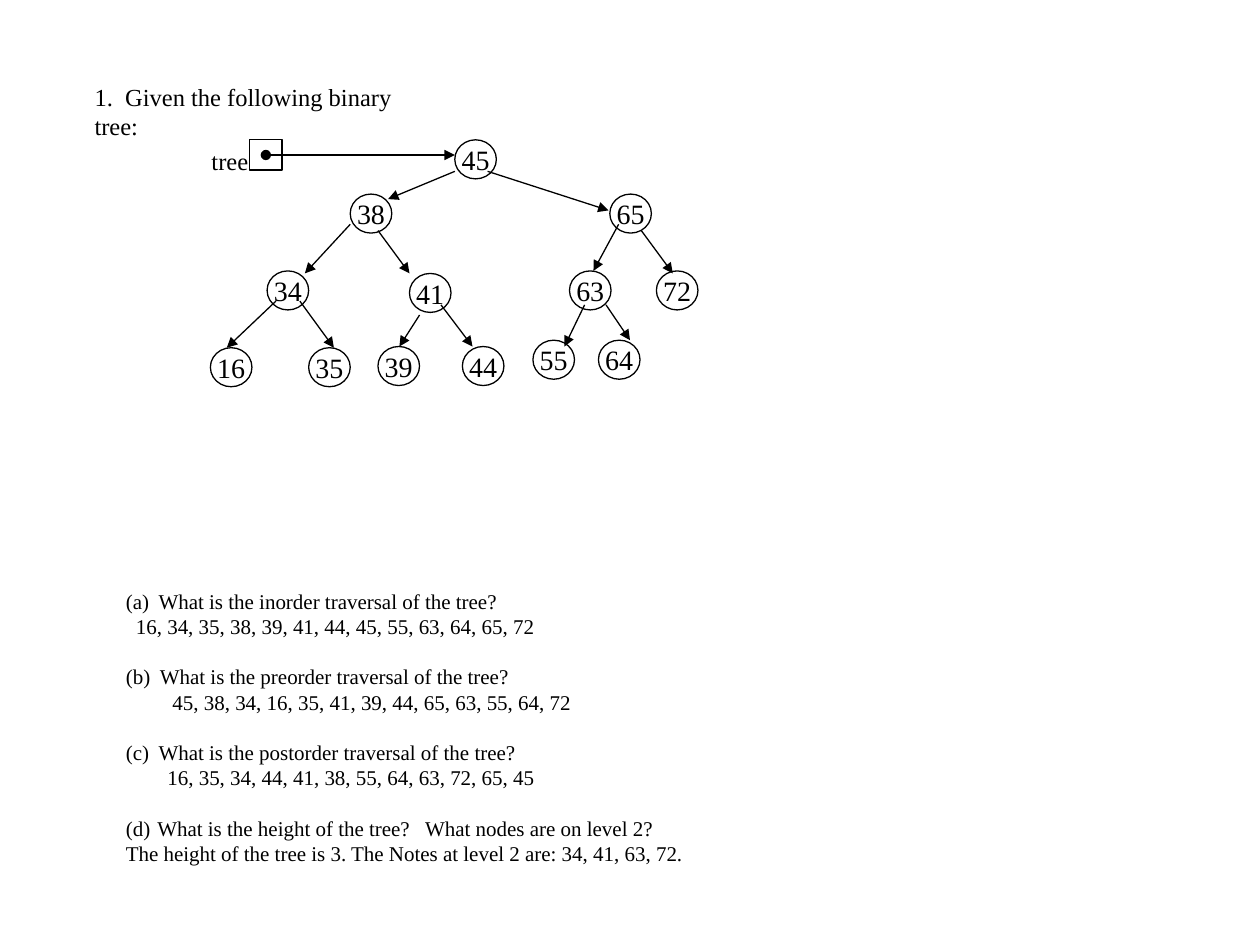
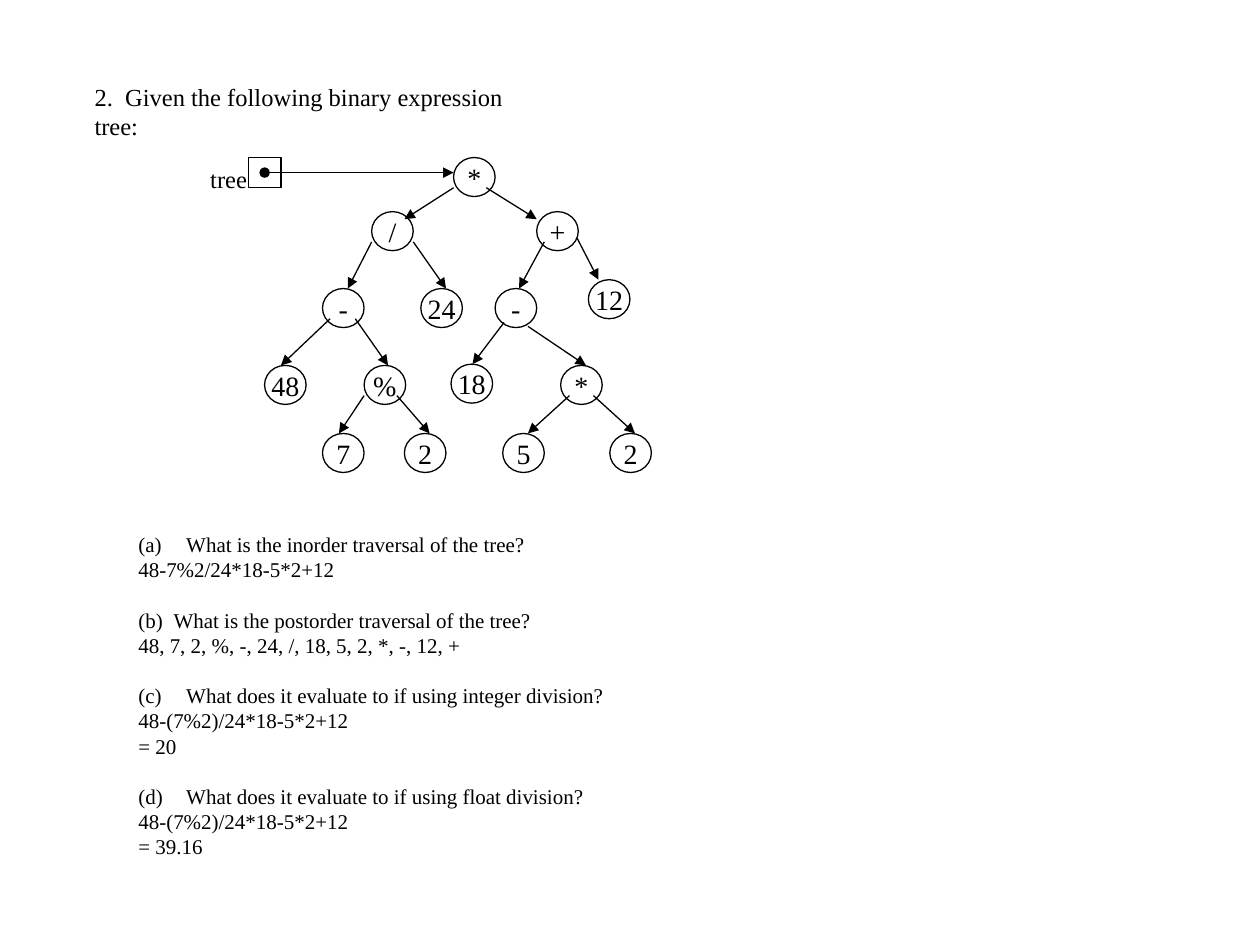
"""Build two exercise slides, each with a binary tree and questions about it."""
from dataclasses import dataclass

import pptx
import pptx.dml.color
import pptx.enum.shapes
import pptx.enum.text
import pptx.util
from lxml import etree
from pptx.oxml.ns import qn
from pptx.util import Inches

COLOURS = {"ink": "000000", "paper": "FFFFFF"}
FONT = "Times New Roman"
TITLE_SIZE, NODE_SIZE, BODY_SIZE = 14, 16, 12
LINE_WIDTH = 0.75
NODE_WIDTH, NODE_HEIGHT = 0.33, 0.31
TITLE_ONLY = 5


@dataclass(frozen=True)
class Arrow:
    x1: float
    y1: float
    x2: float
    y2: float


@dataclass(frozen=True)
class Node:
    label: str
    left: float
    top: float
    incoming: Arrow


@dataclass(frozen=True)
class Question:
    text: str
    answers: tuple[str, ...]
    hanging: float
    answer_indent: float = 0


@dataclass(frozen=True)
class Exercise:
    title: str
    title_width: float
    root: Node
    nodes: tuple[Node, ...]
    body_left: float
    body_top: float
    body_width: float
    body_height: float
    questions: tuple[Question, ...]


EXERCISES = (
    Exercise(
        "1.  Given the following binary tree:", 2.9,
        Node("45", 3.61, 1.11, Arrow(2.11, 1.23, 3.61, 1.23)),
        (
            Node("38", 2.78, 1.54, Arrow(3.61, 1.36, 3.08, 1.58)),
            Node("65", 4.84, 1.54, Arrow(3.87, 1.36, 4.83, 1.67)),
            Node("34", 2.12, 2.15, Arrow(2.78, 1.78, 2.42, 2.17)),
            Node("41", 3.25, 2.17, Arrow(3, 1.83, 3.25, 2.17)),
            Node("63", 4.52, 2.15, Arrow(4.91, 1.78, 4.71, 2.15)),
            Node("72", 5.21, 2.15, Arrow(5.09, 1.83, 5.34, 2.17)),
            Node("16", 1.67, 2.76, Arrow(2.19, 2.39, 1.8, 2.76)),
            Node("35", 2.45, 2.76, Arrow(2.38, 2.39, 2.65, 2.76)),
            Node("39", 3, 2.75, Arrow(3.33, 2.5, 3.17, 2.75)),
            Node("44", 3.67, 2.75, Arrow(3.5, 2.42, 3.75, 2.75)),
            Node("55", 4.23, 2.7, Arrow(4.64, 2.42, 4.48, 2.75)),
            Node("64", 4.75, 2.7, Arrow(4.81, 2.42, 5, 2.7)),
        ),
        0.9, 4.62, 7.31, 2.32,
        (
            Question("What is the inorder traversal of the tree?",
                     ("16, 34, 35, 38, 39, 41, 44, 45, 55, 63, 64, 65, 72",), 0.26, 0.08),
            Question("What is the preorder traversal of the tree?",
                     ("45, 38, 34, 16, 35, 41, 39, 44, 65, 63, 55, 64, 72",), 0.27, 0.37),
            Question("What is the postorder traversal of the tree?",
                     ("16, 35, 34, 44, 41, 38, 55, 64, 63, 72, 65, 45",), 0.26, 0.33),
            Question("What is the height of the tree?   What nodes are on level 2?",
                     ("The height of the tree is 3. The Notes at level 2 are: 34, 41, 63, 72.",),
                     0.25),
        ),
    ),
    Exercise(
        "2.  Given the following binary expression tree:", 3.78,
        Node("*", 3.6, 1.25, Arrow(2.1, 1.37, 3.6, 1.37)),
        (
            Node("/", 2.95, 1.68, Arrow(3.6, 1.49, 3.21, 1.74)),
            Node("+", 4.26, 1.68, Arrow(3.86, 1.49, 4.26, 1.74)),
            Node("-", 2.56, 2.29, Arrow(2.95, 1.92, 2.76, 2.29)),
            Node("24", 3.34, 2.29, Arrow(3.28, 1.92, 3.54, 2.29)),
            Node("-", 3.93, 2.29, Arrow(4.32, 1.92, 4.12, 2.29)),
            Node("12", 4.67, 2.22, Arrow(4.58, 1.89, 4.75, 2.22)),
            Node("48", 2.1, 2.9, Arrow(2.62, 2.53, 2.23, 2.9)),
            Node("%", 2.89, 2.9, Arrow(2.82, 2.53, 3.08, 2.9)),
            Node("18", 3.58, 2.89, Arrow(4, 2.56, 3.75, 2.89)),
            Node("*", 4.45, 2.9, Arrow(4.19, 2.59, 4.65, 2.9)),
            Node("7", 2.56, 3.44, Arrow(2.89, 3.14, 2.69, 3.44)),
            Node("2", 3.21, 3.44, Arrow(3.15, 3.14, 3.41, 3.44)),
            Node("5", 3.99, 3.44, Arrow(4.52, 3.14, 4.19, 3.44)),
            Node("2", 4.84, 3.44, Arrow(4.71, 3.14, 5.04, 3.44)),
        ),
        1, 4.17, 3.94, 2.93,
        (
            Question("What is the inorder traversal of the tree?",
                     ("48-7%2/24*18-5*2+12",), 0.38),
            Question("What is the postorder traversal of the tree?",
                     ("48, 7, 2, %, -, 24, /, 18, 5, 2, *, -, 12, +",), 0.28),
            Question("What does it evaluate to if using integer division?",
                     ("48-(7%2)/24*18-5*2+12", "= 20"), 0.38),
            Question("What does it evaluate to if using float division?",
                     ("48-(7%2)/24*18-5*2+12", "= 39.16"), 0.38),
        ),
    ),
)


def colour(name: str) -> pptx.dml.color.RGBColor:
    """Look up a shared colour."""
    return pptx.dml.color.RGBColor.from_string(COLOURS[name])


def set_font(para, size: float) -> None:
    """Give a paragraph the shared typeface and colour."""
    para.font.name = FONT
    para.font.size = pptx.util.Pt(size)
    para.font.color.rgb = colour("ink")


def set_line(shape) -> None:
    """Give a shape or connector the shared thin outline."""
    shape.line.color.rgb = colour("ink")
    shape.line.width = pptx.util.Pt(LINE_WIDTH)


def add_outline(page, kind, left: float, top: float, width: float, height: float):
    """Add an unfilled preset shape."""
    shape = page.shapes.add_shape(kind, Inches(left), Inches(top), Inches(width), Inches(height))
    shape.shadow.inherit = False
    shape.fill.background()
    set_line(shape)
    return shape


def add_arrow(page, arrow: Arrow, dotted_start: bool = False) -> None:
    """Add an arrow, with a dot at its start if asked."""
    connector = page.shapes.add_connector(
        pptx.enum.shapes.MSO_CONNECTOR.STRAIGHT,
        Inches(arrow.x1), Inches(arrow.y1), Inches(arrow.x2), Inches(arrow.y2))
    set_line(connector)
    line = connector.line._get_or_add_ln()
    if dotted_start:
        etree.SubElement(line, qn("a:headEnd"), type="oval")
    etree.SubElement(line, qn("a:tailEnd"), type="triangle")
    etree.SubElement(connector._element.spPr, qn("a:effectLst"))


def add_node(page, node: Node) -> None:
    """Add a round tree node with its label."""
    circle = add_outline(page, pptx.enum.shapes.MSO_SHAPE.OVAL,
                         node.left, node.top, NODE_WIDTH, NODE_HEIGHT)
    frame = circle.text_frame
    frame.word_wrap = False
    frame.margin_left = frame.margin_right = frame.margin_top = frame.margin_bottom = 0
    frame.vertical_anchor = pptx.enum.text.MSO_ANCHOR.MIDDLE
    para = frame.paragraphs[0]
    para.text = node.label
    para.alignment = pptx.enum.text.PP_ALIGN.CENTER
    set_font(para, NODE_SIZE)


def add_tree(page, root: Node, nodes: tuple[Node, ...]) -> None:
    """Add the pointer cell, its label and the whole tree."""
    cell_left = root.left - 1.63
    add_outline(page, pptx.enum.shapes.MSO_SHAPE.RECTANGLE, cell_left, root.top, 0.26, 0.24)
    box = page.shapes.add_textbox(Inches(cell_left - 0.4), Inches(root.top),
                                  Inches(0.49), Inches(0.33))
    box.text_frame.word_wrap = False
    para = box.text_frame.paragraphs[0]
    para.text = "tree"
    set_font(para, TITLE_SIZE)
    for node in (root, *nodes):
        add_node(page, node)
        add_arrow(page, node.incoming, dotted_start=node is root)


def set_title(page, exercise: Exercise) -> None:
    """Place and format the title placeholder."""
    title = page.shapes.title
    title.left, title.top = Inches(0.65), Inches(0.6)
    title.width, title.height = Inches(exercise.title_width), Inches(0.55)
    frame = title.text_frame
    frame.word_wrap = True
    frame.auto_size = pptx.enum.text.MSO_AUTO_SIZE.NONE
    frame.vertical_anchor = pptx.enum.text.MSO_ANCHOR.TOP
    para = frame.paragraphs[0]
    para.text = exercise.title
    para.alignment = pptx.enum.text.PP_ALIGN.LEFT
    set_font(para, TITLE_SIZE)


def add_questions(page, exercise: Exercise) -> None:
    """Add the lettered questions, each followed by its answers."""
    box = page.shapes.add_textbox(Inches(exercise.body_left), Inches(exercise.body_top),
                                  Inches(exercise.body_width), Inches(exercise.body_height))
    frame = box.text_frame
    frame.word_wrap = True
    for number, question in enumerate(exercise.questions, start=1):
        para = frame.paragraphs[0] if number == 1 else frame.add_paragraph()
        para.text = question.text
        if number > 1:
            para.space_before = pptx.util.Pt(1.2 * BODY_SIZE)
        properties = para._p.get_or_add_pPr()
        properties.set("marL", str(Inches(question.hanging)))
        properties.set("indent", str(-Inches(question.hanging)))
        etree.SubElement(properties, qn("a:buAutoNum"),
                         type="alphaLcParenBoth", startAt=str(number))
        set_font(para, BODY_SIZE)
        for answer in question.answers:
            para = frame.add_paragraph()
            para.text = answer
            para._p.get_or_add_pPr().set("marL", str(Inches(question.answer_indent)))
            set_font(para, BODY_SIZE)


def main() -> None:
    """Build and save the deck."""
    deck = pptx.Presentation()
    deck.slide_width, deck.slide_height = Inches(10), Inches(7.5)
    for exercise in EXERCISES:
        page = deck.slides.add_slide(deck.slide_layouts[TITLE_ONLY])
        page.background.fill.solid()
        page.background.fill.fore_color.rgb = colour("paper")
        set_title(page, exercise)
        add_questions(page, exercise)
        add_tree(page, exercise.root, exercise.nodes)
    deck.save("out.pptx")


if __name__ == "__main__":
    main()
